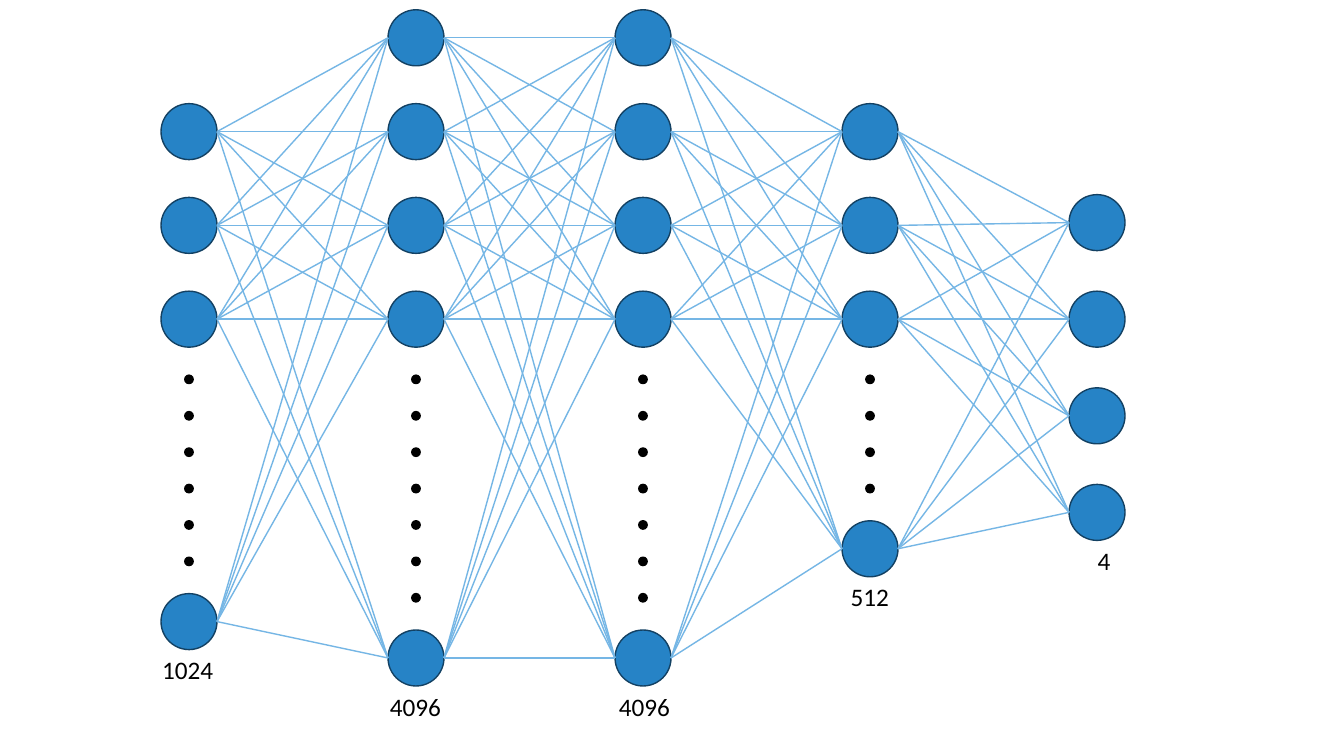
from dataclasses import dataclass
from itertools import pairwise, product

import pptx
import pptx.dml.color
import pptx.enum.shapes
import pptx.enum.text
import pptx.oxml.ns
import pptx.shapes.shapetree
import pptx.util
from lxml import etree

Pt = pptx.util.Pt
RGBColor = pptx.dml.color.RGBColor
Shapes = pptx.shapes.shapetree.SlideShapes

NEURON_FILL = RGBColor(0x26, 0x83, 0xC6)
NEURON_OUTLINE = RGBColor(0x13, 0x41, 0x63)
SYNAPSE_COLOR = RGBColor(0x75, 0xB6, 0xE5)
BLACK = RGBColor(0, 0, 0)

NEURON_SIZE = 40
NEURON_RADIUS = NEURON_SIZE / 2
DOT_SIZE = 6
FIRST_LAYER_X = 135
LAYER_PITCH = 162.15
TOP_ROW_Y = 27
ROW_PITCH = 67
OUTPUT_TOP_Y = 159
OUTPUT_PITCH = 69
FIRST_DOT_Y = 271
DOT_PITCH = 26
LABEL_HEIGHT = 29


@dataclass(frozen=True)
class Layer:
    units: str
    neuron_ys: list[float]
    dot_count: int
    label_left: float
    label_width: float


def hidden_rows(first_row: int, last_y: float) -> list[float]:
    return [TOP_ROW_Y + ROW_PITCH * row for row in range(first_row, 4)] + [last_y]


LAYERS = [
    Layer("1024", hidden_rows(1, 444), 6, 108.7, 56),
    Layer("4096", hidden_rows(0, 470), 7, 271.5, 56),
    Layer("4096", hidden_rows(0, 470), 7, 435, 56),
    Layer("512", hidden_rows(1, 392), 4, 600.5, 56),
    Layer("4", [OUTPUT_TOP_Y + OUTPUT_PITCH * row for row in range(4)], 0, 777, 40),
]


def layer_x(index: int) -> float:
    return FIRST_LAYER_X + LAYER_PITCH * index


def add_circle(shapes: Shapes, x: float, y: float, size: float,
               fill: RGBColor, outline: RGBColor) -> None:
    circle = shapes.add_shape(
        pptx.enum.shapes.MSO_SHAPE.OVAL,
        Pt(x - size / 2), Pt(y - size / 2), Pt(size), Pt(size),
    )
    circle.shadow.inherit = False
    circle.fill.solid()
    circle.fill.fore_color.rgb = fill
    circle.line.color.rgb = outline
    circle.line.width = Pt(1)


def add_layer(shapes: Shapes, x: float, layer: Layer) -> None:
    for y in layer.neuron_ys:
        add_circle(shapes, x, y, NEURON_SIZE, NEURON_FILL, NEURON_OUTLINE)
    for dot in range(layer.dot_count):
        add_circle(shapes, x, FIRST_DOT_Y + DOT_PITCH * dot, DOT_SIZE, BLACK, BLACK)


def add_synapse(shapes: Shapes, start_x: float, start_y: float,
                end_x: float, end_y: float) -> None:
    synapse = shapes.add_connector(
        pptx.enum.shapes.MSO_CONNECTOR.STRAIGHT,
        Pt(start_x), Pt(start_y), Pt(end_x), Pt(end_y),
    )
    synapse.line.color.rgb = SYNAPSE_COLOR
    synapse.line.width = Pt(1)
    properties = synapse._element.spPr
    etree.SubElement(properties, pptx.oxml.ns.qn("a:effectLst"))


def add_unit_label(shapes: Shapes, layer: Layer) -> None:
    label = shapes.add_textbox(
        Pt(layer.label_left), Pt(layer.neuron_ys[-1] + NEURON_RADIUS),
        Pt(layer.label_width), Pt(LABEL_HEIGHT),
    )
    frame = label.text_frame
    frame.word_wrap = True
    frame.auto_size = pptx.enum.text.MSO_AUTO_SIZE.SHAPE_TO_FIT_TEXT
    run = frame.paragraphs[0].add_run()
    run.text = layer.units
    run.font.name = "Calibri"
    run.font.size = Pt(18)
    run.font.color.rgb = BLACK


def main() -> None:
    presentation = pptx.Presentation()
    presentation.slide_width = Pt(960)
    presentation.slide_height = Pt(540)
    shapes = presentation.slides.add_slide(presentation.slide_layouts[6]).shapes

    for index, layer in enumerate(LAYERS):
        add_layer(shapes, layer_x(index), layer)
    for index, (source, target) in enumerate(pairwise(LAYERS)):
        start_x = layer_x(index) + NEURON_RADIUS
        end_x = layer_x(index + 1) - NEURON_RADIUS
        for start_y, end_y in product(source.neuron_ys, target.neuron_ys):
            add_synapse(shapes, start_x, start_y, end_x, end_y)
    for layer in LAYERS:
        add_unit_label(shapes, layer)

    presentation.save("out.pptx")


if __name__ == "__main__":
    main()
